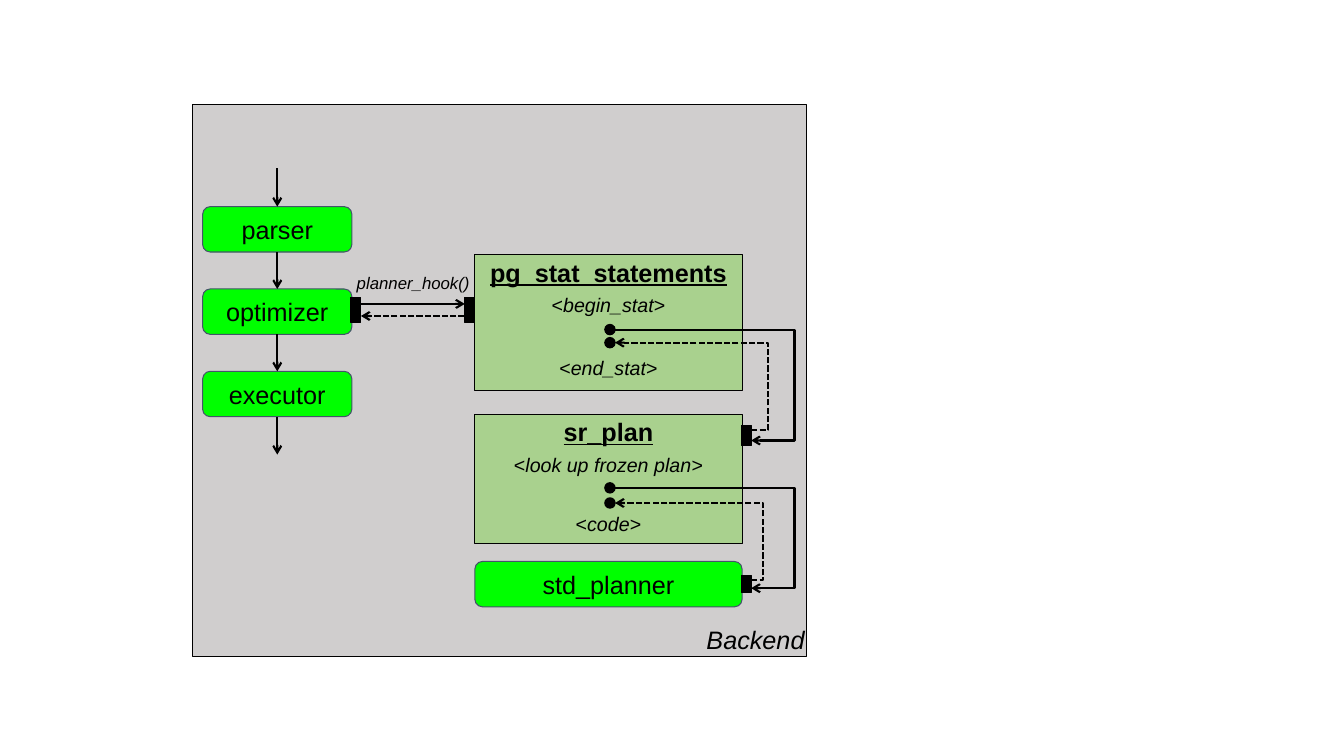
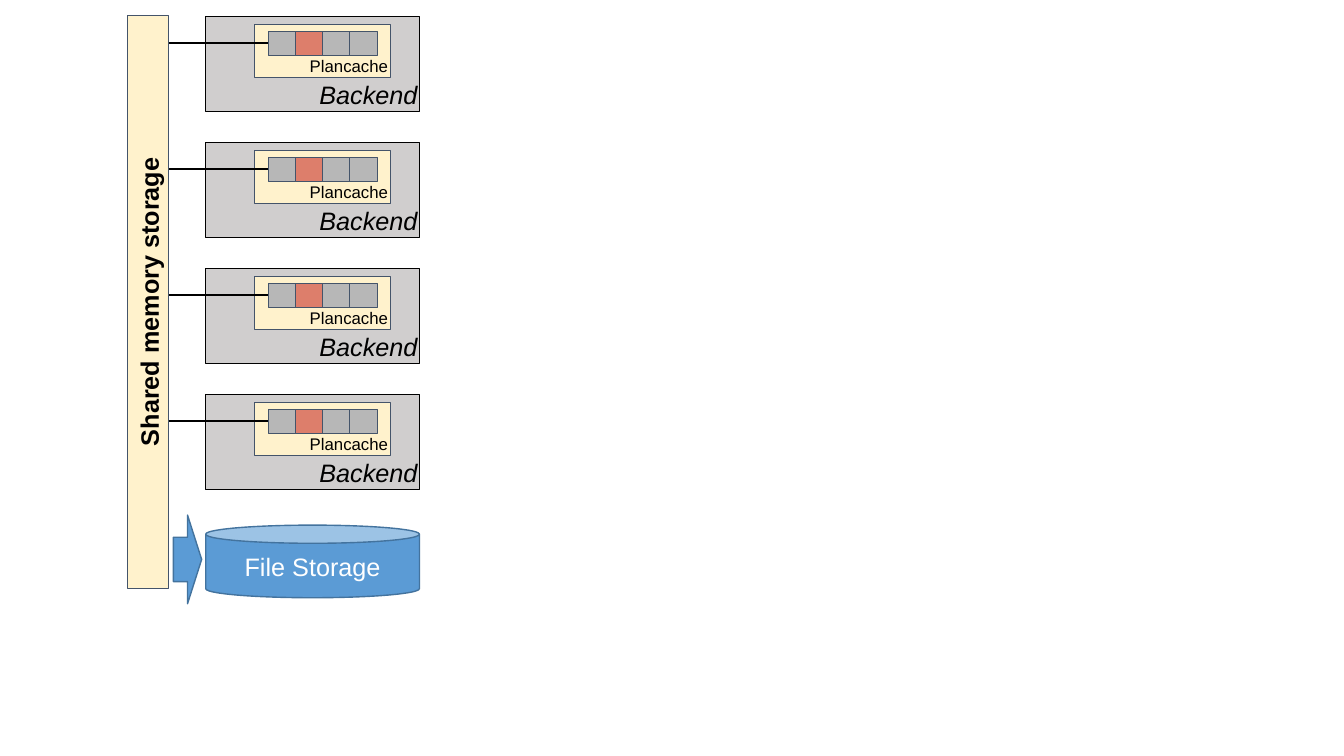
from lxml.etree import SubElement
from pptx import Presentation
from pptx.dml.color import RGBColor
from pptx.enum.dml import MSO_LINE
from pptx.enum.shapes import MSO_CONNECTOR, MSO_SHAPE
from pptx.enum.text import MSO_ANCHOR, PP_ALIGN
from pptx.oxml.ns import qn
from pptx.util import Inches, Pt

CELL = Inches(0.1)
BLACK, WHITE, SLATE = "000000", "FFFFFF", "44546A"
GREY, CREAM, SAGE, GREEN = "D0CECE", "FFF2CC", "A9D18E", "00FF00"
BLUE, NAVY, SILVER, CORAL = "5B9BD5", "43739E", "B7B7B7", "DD7E6B"
TIGHT = (0.2, 0.2, 0.2, 0.2)


def draw_box(slide, columns_rows, text=(), kind=MSO_SHAPE.RECTANGLE, fill=None, line=BLACK,
             line_width=0.75, size=18, color=BLACK, bold=False, italic=False, underline=False,
             align=PP_ALIGN.CENTER, anchor=MSO_ANCHOR.MIDDLE, insets=(1, 0.5, 1, 0.5)):
    place = [round(value * CELL) for value in columns_rows]
    if fill:
        shape = slide.shapes.add_shape(kind, *place)
        shape.shadow.inherit = False
        shape.fill.solid()
        shape.fill.fore_color.rgb = RGBColor.from_string(fill)
        shape.line.color.rgb = RGBColor.from_string(line)
        shape.line.width = Pt(line_width)
    else:
        shape = slide.shapes.add_textbox(*place)
    frame = shape.text_frame
    frame.word_wrap = True
    frame.vertical_anchor = anchor
    frame.margin_left, frame.margin_top, frame.margin_right, frame.margin_bottom = [
        round(inset * CELL) for inset in insets]
    paragraph = frame.paragraphs[0]
    paragraph.alignment = align
    for piece in [text] if isinstance(text, str) else text:
        run = paragraph.add_run()
        run.text = piece
        run.font.name = "Arial"
        run.font.size = Pt(size)
        run.font.bold = bold
        run.font.italic = italic and piece not in "<>"
        run.font.underline = underline
        run.font.color.rgb = RGBColor.from_string(color)
    return shape


def draw_line(slide, start, end, bend=None, dashed=False, arrow=True, source=None, target=None):
    kind = MSO_CONNECTOR.STRAIGHT if bend is None else MSO_CONNECTOR.ELBOW
    connector = slide.shapes.add_connector(kind, *[round(value * CELL) for value in start + end])
    if source:
        connector.begin_connect(*source)
    if target:
        connector.end_connect(*target)
    connector.line.color.rgb = RGBColor.from_string(BLACK)
    connector.line.width = Pt(1.5)
    if dashed:
        connector.line.dash_style = MSO_LINE.SQUARE_DOT
    properties = connector._element.spPr
    if bend is not None:
        share = round((bend - start[0]) / (end[0] - start[0]) * 100000)
        guides = properties.find(qn("a:prstGeom")).find(qn("a:avLst"))
        SubElement(guides, qn("a:gd"), name="adj1", fmla=f"val {share}")
    if arrow:
        SubElement(properties.find(qn("a:ln")), qn("a:tailEnd"), type="arrow")
    SubElement(properties, qn("a:effectLst"))


presentation = Presentation()
presentation.slide_width, presentation.slide_height = Inches(13.33), Inches(7.5)
blank = presentation.slide_layouts[6]
backend = dict(text="Backend", fill=GREY, italic=True, align=PP_ALIGN.RIGHT,
               anchor=MSO_ANCHOR.BOTTOM, insets=TIGHT)
stage = dict(kind=MSO_SHAPE.ROUNDED_RECTANGLE, fill=GREEN, line=SLATE)

slide = presentation.slides.add_slide(blank)
draw_box(slide, (19.1, 10.4, 60.9, 54.7), **backend)

stages = [draw_box(slide, (20.1, 20.5 + 8.17 * row, 14.8, 4.5), name, **stage)
          for row, name in enumerate(("parser", "optimizer", "executor"))]
draw_line(slide, (27.5, 16.7), (27.5, 20.5), target=(stages[0], 0))
for upper, lower in zip(stages, stages[1:]):
    draw_line(slide, (27.5, 25), (27.5, 28.7), source=(upper, 2), target=(lower, 0))
draw_line(slide, (27.5, 41.3), (27.5, 45.1), source=(stages[2], 2))

for name, top, height in (("pg_stat_statements", 25.3, 13.4), ("sr_plan", 41.1, 12.8)):
    draw_box(slide, (47.1, top, 26.5, height), name, fill=SAGE, bold=True, underline=True,
             anchor=MSO_ANCHOR.TOP, insets=TIGHT)
draw_box(slide, (47.1, 55.7, 26.5, 4.5), "std_planner", **stage)

for top, dashed in ((29.5, False), (30.7, True)):
    left_port, right_port = [draw_box(slide, (left, top, 1, 1.3), fill=BLACK)
                             for left in (34.8, 46.1)]
    ends = [(left_port, 3), (right_port, 1)]
    source, target = reversed(ends) if dashed else ends
    draw_line(slide, (35.8, top), (46.1, top), dashed=dashed, source=source, target=target)

calls = ((32.7, 34, 42.2, 43.2, 1, 76.2), (48.4, 49.9, 57.1, 57.9, 0.9, 75.7))
for call_row, return_row, return_port, call_port, height, return_bend in calls:
    for top in (return_port, call_port):
        draw_box(slide, (73.5, top, 1, height), fill=BLACK)
    draw_line(slide, (61, call_row), (74.5, call_port + height / 2), bend=78.8)
    draw_line(slide, (74.5, return_port + height / 2), (61, return_row),
              bend=return_bend, dashed=True)
    for row in (call_row, return_row):
        draw_box(slide, (60, row - 0.5, 1, 1), kind=MSO_SHAPE.OVAL, fill=BLACK, line_width=1)

for label, top in (("begin_stat", 28.6), ("end_stat", 34.8),
                   ("look up frozen plan", 44.4), ("code", 50.3)):
    draw_box(slide, (47.1, top, 26.5, 3.3), ("<", label, ">"), size=14, italic=True,
             anchor=MSO_ANCHOR.TOP)
draw_box(slide, (34.4, 26.6, 13.6, 3), "planner_hook()", size=12, italic=True,
         align=PP_ALIGN.LEFT, anchor=MSO_ANCHOR.TOP)

slide = presentation.slides.add_slide(blank)
memory = draw_box(slide, (-13.7, 27.9, 56.8, 4.1), "Shared memory storage", fill=CREAM,
                  line=SLATE, bold=True, anchor=MSO_ANCHOR.TOP, insets=(0.2, 0.6, 0.2, 0.2))
memory.rotation = 270
storage = dict(fill=BLUE, line=NAVY, line_width=1)
draw_box(slide, (20.4, 52.1, 21.2, 7.2), "File Storage", kind=MSO_SHAPE.CAN, color=WHITE, **storage)
draw_box(slide, (17.2, 51.1, 2.8, 8.8), kind=MSO_SHAPE.RIGHT_ARROW, **storage)

for row in range(4):
    top = 1.6 + 12.5 * row
    draw_box(slide, (20.4, top, 21.2, 9.5), **backend)
    draw_box(slide, (25.2, top + 0.8, 13.5, 5.3), "Plancache", fill=CREAM, line=SLATE, size=12,
             align=PP_ALIGN.RIGHT, anchor=MSO_ANCHOR.BOTTOM, insets=TIGHT)
    plans = [draw_box(slide, (26.6 + 2.7 * column, top + 1.5, 2.7, 2.4), fill=fill, line=SLATE)
             for column, fill in enumerate((SILVER, CORAL, SILVER, SILVER))]
    draw_line(slide, (16.8, top + 2.7), (26.6, top + 2.7), arrow=False, target=(plans[0], 1))

presentation.save("out.pptx")
